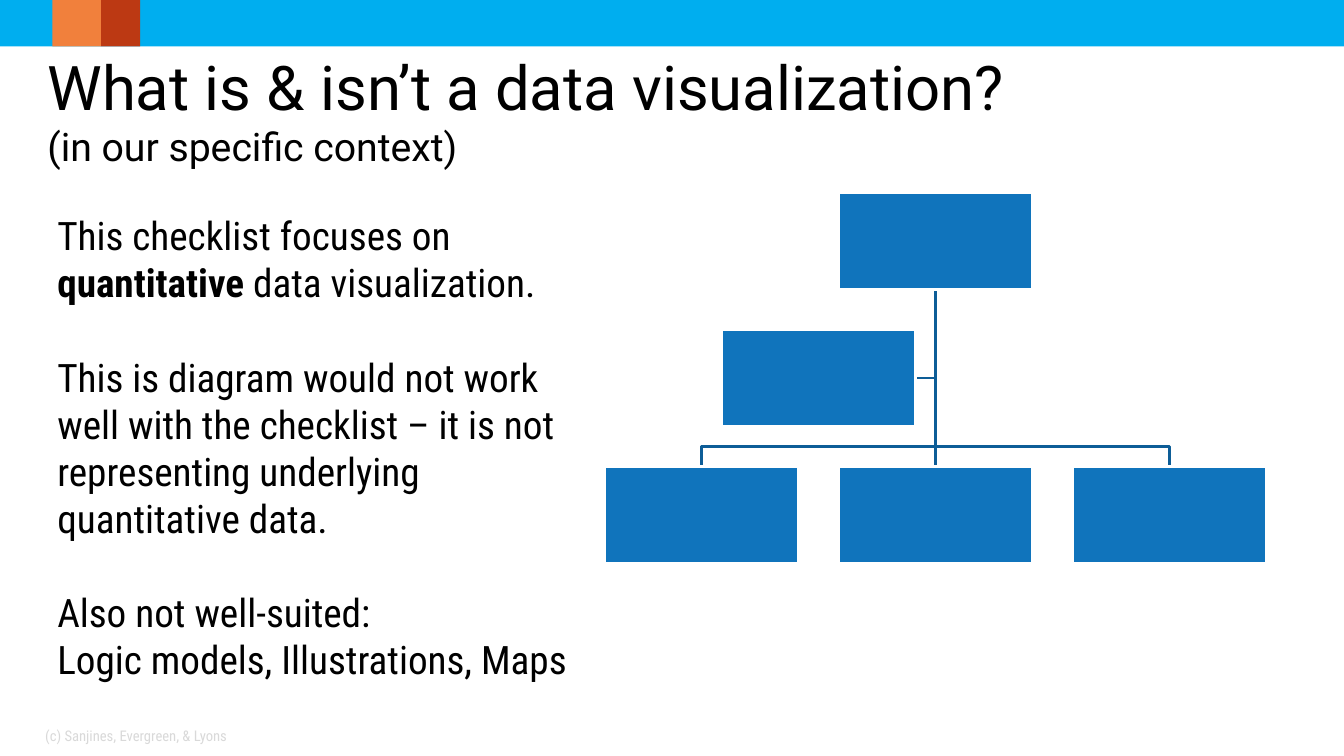
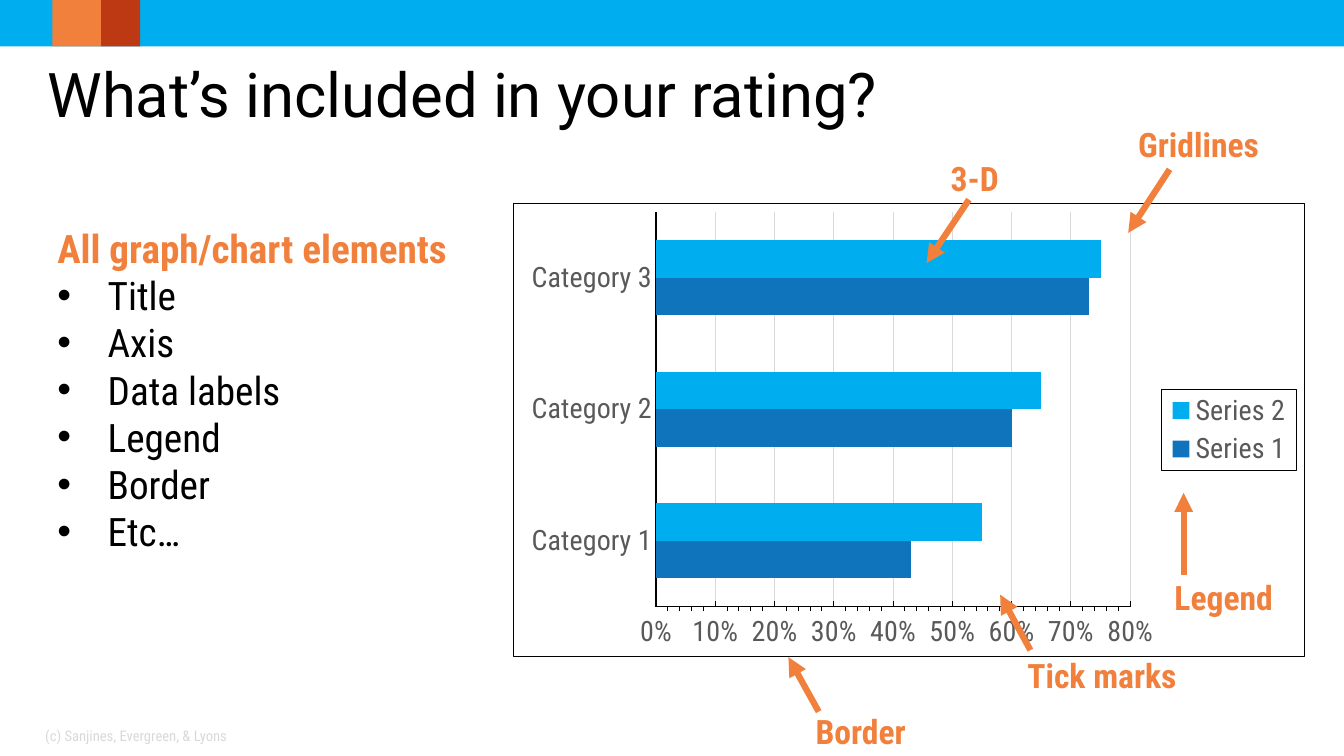
from lxml import etree
from pptx import Presentation
from pptx.chart.data import CategoryChartData
from pptx.dml.color import RGBColor
from pptx.enum import chart as ch, shapes, text
from pptx.oxml import parse_xml
from pptx.oxml.ns import nsdecls, qn
from pptx.util import Inches, Pt

SKY = RGBColor(0x00, 0xAE, 0xEF)
BLUE = RGBColor(0x10, 0x74, 0xBC)
NAVY = RGBColor(0x0D, 0x5D, 0x97)
RUST = RGBColor(0xBC, 0x39, 0x13)
CORAL = RGBColor(0xF1, 0x80, 0x3C)
BLACK = RGBColor(0, 0, 0)
WHITE = RGBColor(255, 255, 255)
GRAY = RGBColor(0x59, 0x59, 0x59)
PALE = RGBColor(0xD9, 0xD9, 0xD9)
HEAD, BODY = "Roboto", "Roboto Condensed"


def dims(*vals):
    return [Inches(v) for v in vals]


def place(*vals):
    inner = "".join(f'<c:{k} val="{v}"/>' for k, v in zip("xywh", vals))
    modes = '<c:xMode val="edge"/><c:yMode val="edge"/>'
    return (f'<c:manualLayout>{modes}{inner}</c:manualLayout>')


def frame():
    return parse_xml(f'<c:spPr {nsdecls("c", "a")}><a:noFill/><a:ln w="9525"><a:solidFill>'
                     f'<a:srgbClr val="{BLACK}"/></a:solidFill></a:ln></c:spPr>')


class Deck:
    """Hold the deck style and the current slide."""

    def __init__(self):
        self.prs = Presentation()
        self.prs.slide_width, self.prs.slide_height = dims(13.33, 7.5)

    def page(self, title, top, sub=""):
        self.slide = self.prs.slides.add_slide(self.prs.slide_layouts[5])
        self.all = self.slide.shapes
        for left, wide, fill in ((0, 13.33, SKY), (1, 0.39, RUST), (0.52, 0.48, CORAL)):
            self.box(left, 0, wide, 0.46, fill)
        head = self.all.title
        head.left, head.top, head.width, head.height = dims(0.47, top, 12.86, 1.25)
        tf = head.text_frame
        tf.text = f"{title}\v{sub}" if sub else title
        tf.auto_size = text.MSO_AUTO_SIZE.NONE
        tf.vertical_anchor = text.MSO_ANCHOR.MIDDLE
        tf.margin_left = tf.margin_right = 0
        tf.paragraphs[0].alignment = text.PP_ALIGN.LEFT
        for run, size in zip(tf.paragraphs[0].runs, (44, 28)):
            self.font(run.font, size, BLACK, name=HEAD)
        self.text(0.35, 7.1, 3.11, 0.4, ["(c) Sanjines, Evergreen, & Lyons"], 10.5, PALE,
                  anchor=text.MSO_ANCHOR.MIDDLE)

    def font(self, font, size, color, bold=False, name=BODY):
        font.name, font.size, font.bold = name, Pt(size), bold
        font.color.rgb = color

    def box(self, left, top, wide, high, fill, edge=None):
        shape = self.all.add_shape(shapes.MSO_SHAPE.RECTANGLE, *dims(left, top, wide, high))
        shape.shadow.inherit = False
        shape.fill.solid()
        shape.fill.fore_color.rgb = fill
        if edge is None:
            shape.line.fill.background()
        else:
            shape.line.color.rgb, shape.line.width = edge, Pt(2)

    def text(self, left, top, wide, high, lines, size, color, bold=False, wrap=True,
             anchor=text.MSO_ANCHOR.TOP):
        tf = self.all.add_textbox(*dims(left, top, wide, high)).text_frame
        tf.text = "\n".join(lines)
        tf.word_wrap, tf.vertical_anchor = wrap, anchor
        for para in tf.paragraphs:
            for run in para.runs:
                self.font(run.font, size, color, bold)
        return tf.paragraphs

    def bullet(self, para):
        ppr = para._p.get_or_add_pPr()
        ppr.set("marL", str(Inches(0.5)))
        ppr.set("indent", str(-Inches(0.5)))
        etree.SubElement(ppr, qn("a:buFont")).set("typeface", "Arial")
        etree.SubElement(ppr, qn("a:buChar")).set("char", "•")

    def line(self, start, end, color, width, arrow=False):
        line = self.all.add_connector(shapes.MSO_CONNECTOR.STRAIGHT, *dims(*start, *end))
        line.line.color.rgb, line.line.width = color, Pt(width)
        props = line.element.spPr
        if arrow:
            etree.SubElement(props.find(qn("a:ln")), qn("a:tailEnd")).set("type", "triangle")
        etree.SubElement(props, qn("a:effectLst"))

    def route(self, points, color, width):
        first, *rest = [tuple(dims(*p)) for p in points]
        path = self.all.build_freeform(*first, scale=1.0)
        path.add_line_segments(rest, close=False)
        shape = path.convert_to_shape()
        shape.shadow.inherit = False
        shape.fill.background()
        shape.line.color.rgb, shape.line.width = color, Pt(width)

    def chart(self, left, top, wide, high, cats, series):
        data = CategoryChartData(number_format="0%")
        data.categories = cats
        for name, vals, _ in series:
            data.add_series(name, vals)
        chart = self.all.add_chart(ch.XL_CHART_TYPE.BAR_CLUSTERED,
                                   *dims(left, top, wide, high), data).chart
        self.font(chart.font, 10, BLACK)
        chart.has_title = False
        plot = chart.plots[0]
        plot.gap_width, plot.overlap, plot.vary_by_categories = 150, 0, False
        for item, (_, _, color) in zip(plot.series, series):
            item.format.fill.solid()
            item.format.fill.fore_color.rgb = color
        cat, val = chart.category_axis, chart.value_axis
        for axis in (cat, val):
            self.font(axis.tick_labels.font, 20, GRAY)
            axis.format.line.color.rgb, axis.format.line.width = BLACK, Pt(0.75)
        cat.major_tick_mark = cat.minor_tick_mark = ch.XL_TICK_MARK.NONE
        cat.has_major_gridlines = False
        val.major_tick_mark, val.minor_tick_mark = ch.XL_TICK_MARK.INSIDE, ch.XL_TICK_MARK.OUTSIDE
        val.minimum_scale, val.maximum_scale = 0, 0.8
        val.major_unit, val.minor_unit = 0.1, 0.02
        val.tick_labels.number_format, val.tick_labels.number_format_is_linked = "0%", False
        grid = val.major_gridlines.format.line
        grid.color.rgb, grid.width = PALE, Pt(0.75)
        chart.has_legend = True
        key = chart.legend
        key.position, key.include_in_layout = ch.XL_LEGEND_POSITION.RIGHT, False
        self.font(key.font, 20, GRAY)
        self.fit(chart)

    def fit(self, chart):
        root = chart.element
        area, key = root.find(".//" + qn("c:plotArea")), root.find(".//" + qn("c:legend"))
        spots = ((area, 0, '<c:layoutTarget val="inner"/>', (0.18, 0.02, 0.6, 0.87)),
                 (key, 1, "", (0.82, 0.41, 0.17, 0.18)))
        for node, index, target, rect in spots:
            for old in node.findall(qn("c:layout")):
                node.remove(old)
            inner = place(*rect).replace("<c:manualLayout>", "<c:manualLayout>" + target)
            node.insert(index, parse_xml(f'<c:layout {nsdecls("c")}>{inner}</c:layout>'))
        key.find(qn("c:overlay")).addnext(frame())
        root.find(qn("c:chart")).addnext(frame())


def context(deck):
    deck.page("What is & isn’t a data visualization?", 0.46, "(in our specific context)")
    paras = deck.text(0.47, 2.05, 5.32, 4.81, [
        "This checklist focuses on ",
        "This is diagram would not work well with the checklist – it is not representing "
        "underlying quantitative data.",
        "Also not well-suited:",
        "Logic models, Illustrations, Maps"], 28, BLACK)
    for part, bold in (("quantitative", True), (" data visualization.", False)):
        run = paras[0].add_run()
        run.text = part
        deck.font(run.font, 28, BLACK, bold)
    for para in paras[1:3]:
        para.space_before = Pt(33.8)
    wide, high, mid, step = 1.92, 0.96, 9.28, 2.32
    top, side, low, rail = 1.91, 3.27, 4.63, 4.43
    ends = mid - step, mid + step
    deck.line((mid, top + high), (mid, low), NAVY, 2)
    deck.line((mid, side + high / 2), (mid - 0.2, side + high / 2), NAVY, 2)
    deck.route([(ends[0], low), (ends[0], rail), (ends[1], rail), (ends[1], low)], NAVY, 2)
    for x, y in ((mid, top), (mid - step / 2, side), (ends[0], low), (mid, low), (ends[1], low)):
        deck.box(x - wide / 2, y, wide, high, BLUE, WHITE)


def rating(deck):
    deck.page("What’s included in your rating?", 0.3)
    first, *rest = deck.text(0.47, 2.18, 4.5, 3.7, [
        "All graph/chart elements", "Title", "Axis", "Data labels", "Legend", "Border", "Etc…"],
        28, BLACK)
    deck.font(first.runs[0].font, 28, CORAL, True)
    for para in rest:
        deck.bullet(para)
    deck.chart(5.09, 2.01, 7.85, 4.51, ["Category 1", "Category 2", "Category 3"], [
        ("Series 1", (0.43, 0.6, 0.73), BLUE), ("Series 2", (0.55, 0.65, 0.75), SKY)])
    notes = (
        ("Gridlines", 11.19, 1.18, 1.41, (11.6, 1.68), (11.19, 2.31)),
        ("3-D", 9.33, 1.52, 0.68, (9.61, 1.98), (9.19, 2.61)),
        ("Legend", 11.55, 5.67, 1.19, (11.74, 5.7), (11.74, 4.89)),
        ("Tick marks", 10.09, 6.45, 1.69, (10.22, 6.45), (9.92, 5.9)),
        ("Border", 7.99, 7, 1.11, (8.12, 7.06), (7.82, 6.52)))
    for label, left, top, wide, start, end in notes:
        deck.line(start, end, CORAL, 4.5, arrow=True)
        deck.text(left, top, wide, 0.5, [label], 24, CORAL, bold=True, wrap=False)


def main():
    deck = Deck()
    context(deck)
    rating(deck)
    deck.prs.save("out.pptx")


if __name__ == "__main__":
    main()
